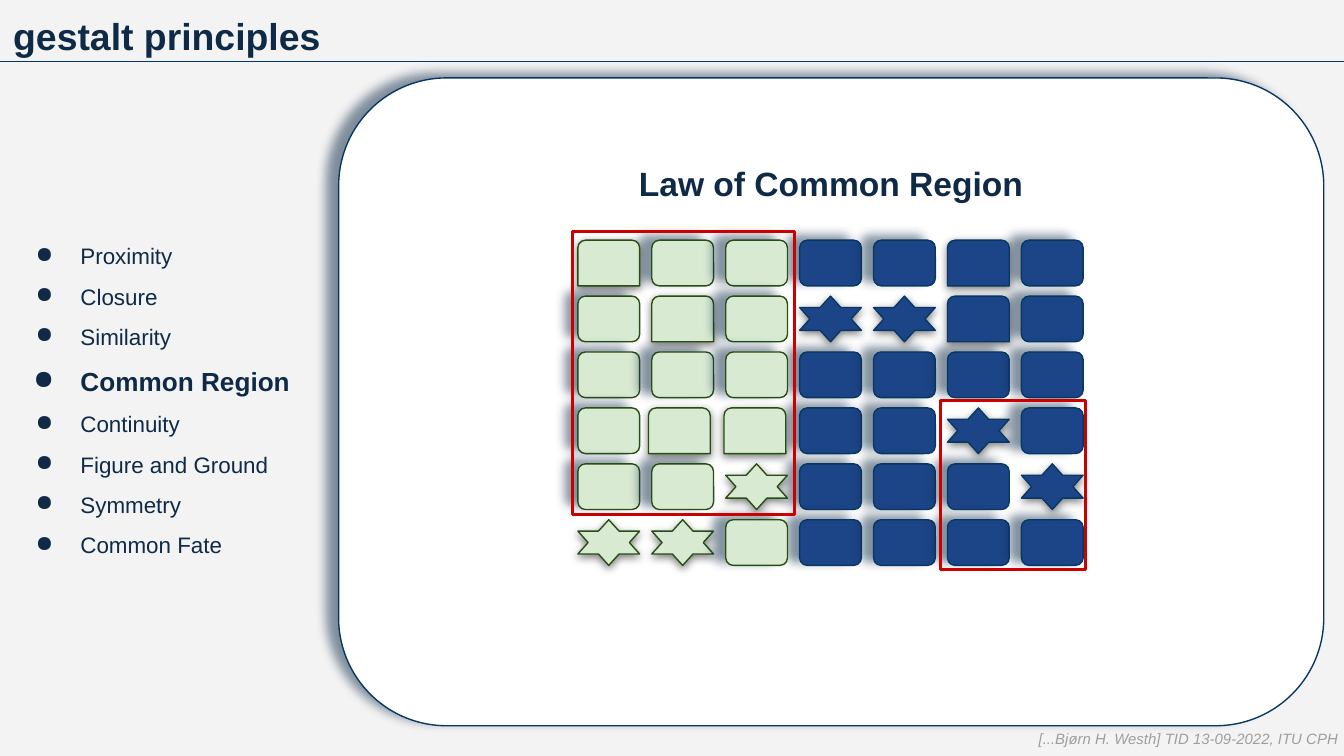
from lxml import etree
from pptx import Presentation
from pptx.dml.color import RGBColor
from pptx.enum import shapes, text
from pptx.oxml import ns
from pptx.util import Pt

NAVY, PALE, EDGE = "0E2A47", "F3F3F3", "073763"
PRINCIPLES = ["Proximity", "Closure", "Similarity", "Common Region",
              "Continuity", "Figure and Ground", "Symmetry", "Common Fate"]
CURRENT = "Common Region"
GRID = ["TRRRRTR",
        "RTRSSTR",
        "RRRRRRR",
        "RTTRRSR",
        "RRSRRRS",
        "SSRRRRR"]
GREEN_COLS = 3
NUDGES = {(3, 1): -1.8, (3, 2): -0.9}
REGIONS = [(306.72, 123.84, 118.8, 151.92), (504, 214.56, 77.76, 90.72)]
LEFT, TOP, STEP_X, STEP_Y, CELL_W, CELL_H = 309.6, 128.7, 39.6, 29.95, 33.12, 24.48

MSO = shapes.MSO_SHAPE
SIDE_SHADOW = (NAVY, 51, 5.6, 6.8, 199)
DROP_SHADOW = ("000000", 50, 4.5, 1.5, 90)
KINDS = {"R": (MSO.ROUNDED_RECTANGLE, SIDE_SHADOW),
         "T": (MSO.ROUND_2_SAME_RECTANGLE, DROP_SHADOW),
         "S": (MSO.STAR_6_POINT, DROP_SHADOW)}


def rgb(value):
    return RGBColor.from_string(value)


def child(parent, tag, **attrs):
    e = etree.SubElement(parent, ns.qn(tag))
    for key, value in attrs.items():
        e.set(key, str(value))
    return e


def add_shape(s, kind, box, fill=None, line=None, width=0.75, shadow=None):
    sp = s.shapes.add_shape(kind, *map(Pt, box))
    if fill:
        sp.fill.solid()
        sp.fill.fore_color.rgb = rgb(fill)
    else:
        sp.fill.background()
    if line:
        sp.line.color.rgb = rgb(line)
        sp.line.width = Pt(width)
    else:
        sp.line.fill.background()
    sp.shadow.inherit = False
    if shadow:
        color, alpha, blur, dist, angle = shadow
        effects = sp._element.spPr.find(ns.qn("a:effectLst"))
        outer = child(effects, "a:outerShdw", blurRad=Pt(blur), dist=Pt(dist),
                      dir=angle * 60000, algn="bl", rotWithShape=0)
        child(child(outer, "a:srgbClr", val=color), "a:alpha", val=alpha * 1000)
    return sp


def set_frame(sp, anchor=text.MSO_ANCHOR.TOP):
    tf = sp.text_frame
    tf.word_wrap = True
    tf.vertical_anchor = anchor
    tf.margin_left = tf.margin_right = tf.margin_top = tf.margin_bottom = Pt(7.2)
    return tf


def write(p, words, size, color=NAVY, bold=False, italic=False, align=text.PP_ALIGN.LEFT):
    p.add_run().text = words
    p.alignment = align
    f = p.font
    f.name, f.size, f.bold, f.italic = "Arial", Pt(size), bold, italic
    f.color.rgb = rgb(color)


def add_bullet(p, indent):
    pPr = p._p.get_or_add_pPr()
    pPr.set("marL", str(Pt(36)))
    pPr.set("indent", str(Pt(-indent)))
    bullet = [etree.Element(ns.qn("a:buClr")), etree.Element(ns.qn("a:buChar"))]
    child(bullet[0], "a:srgbClr", val=NAVY)
    bullet[1].set("char", "●")
    at = list(pPr).index(pPr.find(ns.qn("a:defRPr")))
    pPr[at:at] = bullet


def add_label(s, box, words, size, **style):
    tf = set_frame(s.shapes.add_textbox(*map(Pt, box)))
    write(tf.paragraphs[0], words, size, **style)


def add_principles(s):
    sp = add_shape(s, MSO.RECTANGLE, (0, 36, 181.44, 349.92), PALE)
    tf = set_frame(sp, text.MSO_ANCHOR.MIDDLE)
    for i, name in enumerate(PRINCIPLES):
        p = tf.add_paragraph() if i else tf.paragraphs[0]
        current = name == CURRENT
        p.line_spacing = 1.5
        p.space_before = Pt(0 if i else 10)
        write(p, name, 14 if current else 12, bold=current)
        add_bullet(p, 25.2 if current else 24)


def add_panel(s):
    sp = add_shape(s, MSO.ROUNDED_RECTANGLE, (181.44, 41.76, 527.76, 347.04),
                   "FFFFFF", EDGE, shadow=SIDE_SHADOW)
    p = set_frame(sp).paragraphs[0]
    p.line_spacing = 2.0
    write(p, "Law of Common Region", 18, bold=True, align=text.PP_ALIGN.CENTER)


def add_rule(s):
    line = s.shapes.add_connector(shapes.MSO_CONNECTOR.STRAIGHT,
                                  Pt(0), Pt(33.12), Pt(720), Pt(33.12))
    line.line.color.rgb = rgb(EDGE)
    line.line.width = Pt(0.75)
    child(line._element.spPr, "a:effectLst")


def add_grid(s):
    cells = [(r, c, k) for r, row in enumerate(GRID) for c, k in enumerate(row)]
    last_green = GREEN_COLS - 1
    for r, c, k in sorted(cells, key=lambda cell: (cell[1] == last_green, cell[2] != "R", cell[1])):
        kind, shadow = KINDS[k]
        fill, line = ("D9EAD3", "274E13") if c < GREEN_COLS else ("1C4587", EDGE)
        x = LEFT + c * STEP_X + NUDGES.get((r, c), 0)
        add_shape(s, kind, (x, TOP + r * STEP_Y, CELL_W, CELL_H), fill, line, shadow=shadow)


def main():
    prs = Presentation()
    prs.slide_width, prs.slide_height = Pt(720), Pt(405)
    s = prs.slides.add_slide(prs.slide_layouts[6])
    s.background.fill.solid()
    s.background.fill.fore_color.rgb = rgb(PALE)
    add_principles(s)
    add_label(s, (0, 0, 720, 36), "gestalt principles", 20, bold=True)
    add_panel(s)
    add_rule(s)
    add_grid(s)
    for box in REGIONS:
        add_shape(s, MSO.RECTANGLE, box, line="CC0000", width=1.5)
    add_label(s, (549.36, 385.92, 177.84, 24.48),
              "[...Bjørn H. Westh] TID 13-09-2022, ITU CPH", 8, color="9E9E9E", italic=True)
    prs.save("out.pptx")


if __name__ == "__main__":
    main()
